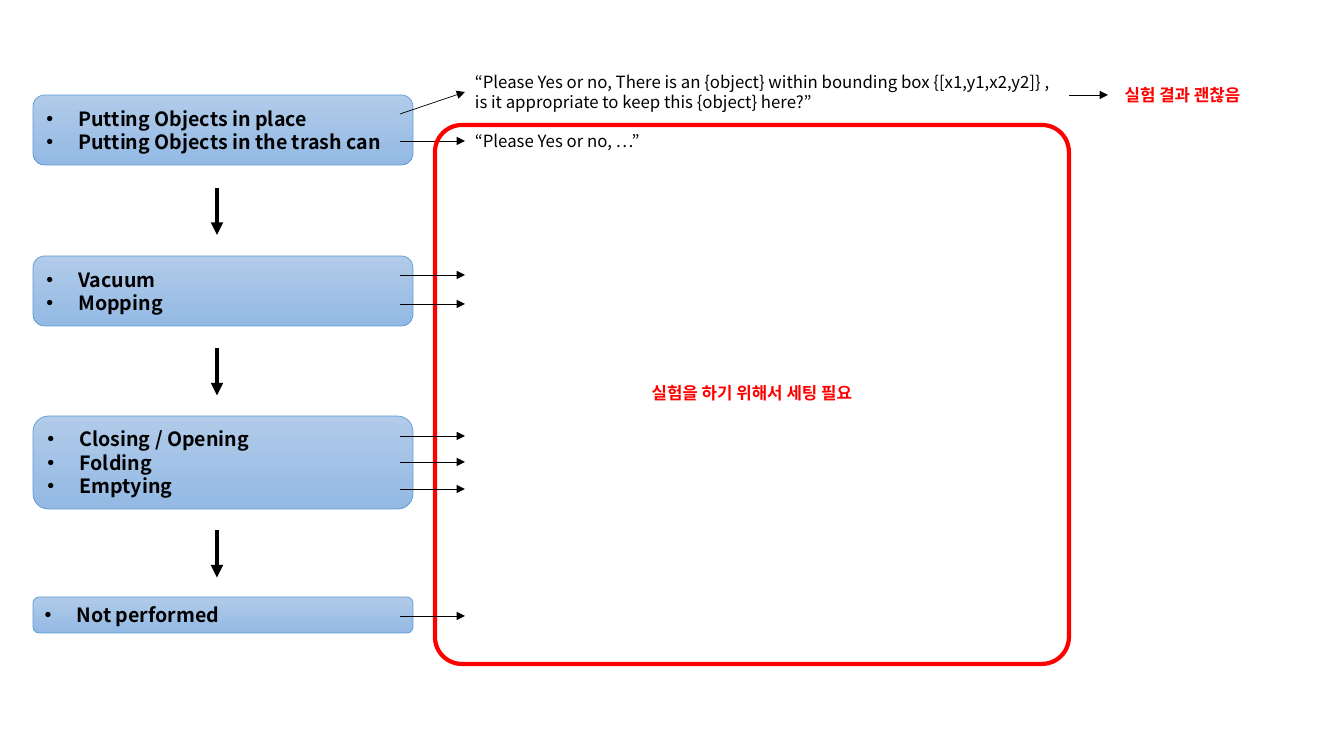
from lxml import etree
from pptx import Presentation
from pptx.dml.color import RGBColor
from pptx.enum.shapes import MSO_CONNECTOR, MSO_SHAPE
from pptx.enum.text import MSO_ANCHOR, PP_ALIGN
from pptx.oxml.ns import qn
from pptx.util import Emu, Pt

STRAIGHT = MSO_CONNECTOR.STRAIGHT
ROUND = MSO_SHAPE.ROUNDED_RECTANGLE
LEFT, CENTER = PP_ALIGN.LEFT, PP_ALIGN.CENTER
MIDDLE, TOP = MSO_ANCHOR.MIDDLE, MSO_ANCHOR.TOP

BLACK = RGBColor(0x00, 0x00, 0x00)
RED = RGBColor(0xFF, 0x00, 0x00)
LIGHT = RGBColor(0xB1, 0xCB, 0xE9)
DEEP = RGBColor(0x93, 0xB9, 0xE4)
EDGE = RGBColor(0x5B, 0x9B, 0xD5)
FONT = "Noto Sans CJK KR"

# top, height, tasks
STEPS = [
    (95, 70, ["Putting Objects in place", "Putting Objects in the trash can"]),
    (256, 70, ["Vacuum", "Mopping"]),
    (416, 93, ["Closing / Opening", "Folding", "Emptying"]),
    (597, 36, ["Not performed"]),
]
# arrow start, top, height, lines
PROMPTS = [
    (114, 67, 50, [
        "“Please Yes or no, There is an {object} within bounding box {[x1,y1,x2,y2]} ,",
        "is it appropriate to keep this {object} here?”"]),
    (141, 126, 30, ["“Please Yes or no, …”"]),
]
OPEN_ROWS = [275, 304, 436, 462, 489, 616]
# left, top, width, height, text
NOTES = [
    (612, 378, 280, 30, "실험을 하기 위해서 세팅 필요"),
    (1091, 80, 183, 30, "실험 결과 괜찮음"),
]
FRAME = (435, 125, 634, 539)
RESULT = (1069, 95, 1108, 95)

BOX_X, BOX_W = 33, 380
TASK_X, PROMPT_X, PROMPT_W = 400, 465, 600
DOWN_X, DOWN_LEN = 217, 47
INDENT = 32


def px(value):
    return Emu(round(value * 9144000 / 1008))


def write(shape, lines, size=12, color=BLACK, bold=False, align=LEFT,
          anchor=TOP, bullet=False):
    frame = shape.text_frame
    frame.word_wrap = True
    frame.vertical_anchor = anchor
    for i, line in enumerate(lines):
        para = frame.paragraphs[0] if i == 0 else frame.add_paragraph()
        para.alignment = align
        para.line_spacing = Pt(size * 1.2)
        run = para.add_run()
        run.text = line
        font = run.font
        font.name, font.size, font.bold = FONT, Pt(size), bold
        font.color.rgb = color
        etree.SubElement(font._element, qn("a:ea"), typeface=FONT)
        if bullet:
            props = para._p.get_or_add_pPr()
            props.set("marL", str(px(INDENT)))
            props.set("indent", str(-px(INDENT)))
            etree.SubElement(props, qn("a:buFont"), typeface="Arial")
            etree.SubElement(props, qn("a:buChar"), char="•")


def add_round(slide, box, edge, width):
    shape = slide.shapes.add_shape(ROUND, *map(px, box))
    shape.shadow.inherit = False
    shape.line.color.rgb = edge
    shape.line.width = Pt(width)
    return shape


def add_step(slide, top, height, tasks):
    shape = add_round(slide, (BOX_X, top, BOX_W, height), EDGE, 0.5)
    shape.fill.gradient()
    shape.fill.gradient_angle = 270
    for stop, color in zip(shape.fill.gradient_stops, (LIGHT, DEEP)):
        stop.color.rgb = color
    write(shape, tasks, size=14, bold=True, anchor=MIDDLE, bullet=True)


def add_text(slide, box, lines, **style):
    shape = slide.shapes.add_textbox(*map(px, box))
    write(shape, lines, **style)
    return shape


def add_arrow(slide, ends, width=0.5):
    arrow = slide.shapes.add_connector(STRAIGHT, *map(px, ends))
    arrow.line.color.rgb = BLACK
    arrow.line.width = Pt(width)
    etree.SubElement(arrow.line._get_or_add_ln(), qn("a:tailEnd"), type="triangle")
    etree.SubElement(arrow._element.spPr, qn("a:effectLst"))
    return arrow


def main():
    deck = Presentation()
    deck.slide_width, deck.slide_height = px(1344), px(756)
    slide = deck.slides.add_slide(deck.slide_layouts[6])

    for step in STEPS:
        add_step(slide, *step)
    for (top, height, _), (below, _, _) in zip(STEPS, STEPS[1:]):
        start = (top + height + below - DOWN_LEN) / 2 + 1
        add_arrow(slide, (DOWN_X, start, DOWN_X, start + DOWN_LEN), width=3)

    for y, top, height, lines in PROMPTS:
        prompt = add_text(slide, (PROMPT_X, top, PROMPT_W, height), lines)
        arrow = add_arrow(slide, (TASK_X, y, PROMPT_X, top + height / 2))
        arrow.end_connect(prompt, 1)

    frame = add_round(slide, FRAME, RED, 3)
    frame.fill.background()
    frame.adjustments[0] = 0.05

    for y in OPEN_ROWS:
        add_arrow(slide, (TASK_X, y, PROMPT_X, y))
    add_arrow(slide, RESULT)
    for *box, text in NOTES:
        add_text(slide, box, [text], color=RED, bold=True, align=CENTER)

    deck.save("out.pptx")


if __name__ == "__main__":
    main()
